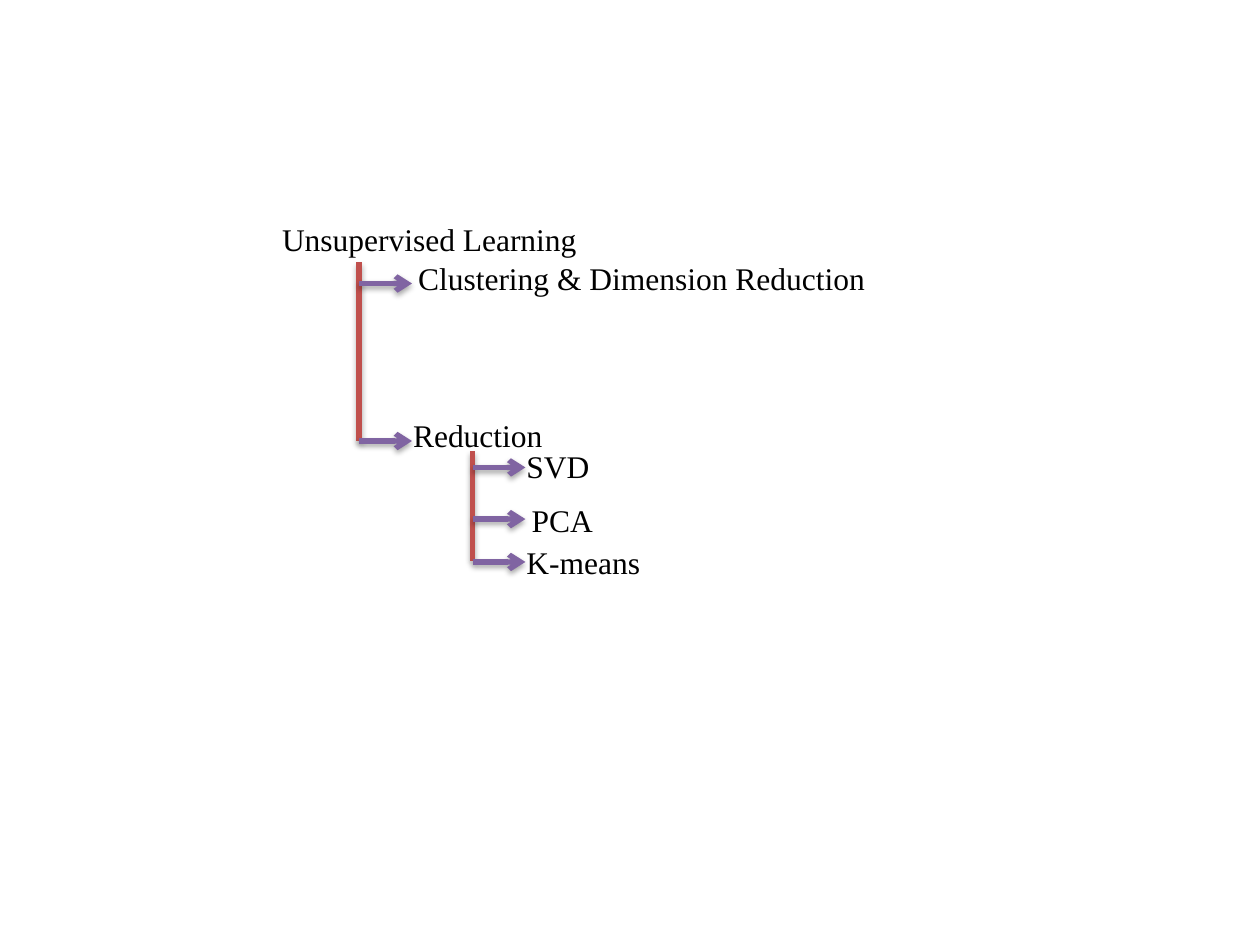
from typing import NamedTuple

from pptx import Presentation
from pptx.dml.color import RGBColor
from pptx.enum.shapes import MSO_CONNECTOR
from pptx.enum.text import MSO_AUTO_SIZE
from pptx.oxml import parse_xml
from pptx.oxml.ns import nsdecls
from pptx.util import Inches, Pt

STRAIGHT = MSO_CONNECTOR.STRAIGHT
FIT_SHAPE = MSO_AUTO_SIZE.SHAPE_TO_FIT_TEXT

TRUNK_RED = RGBColor(0xC0, 0x50, 0x4D)
BRANCH_PURPLE = RGBColor(0x80, 0x64, 0xA2)
BLACK = RGBColor(0, 0, 0)

FONT = "Times New Roman"
LABEL_HEIGHT = 0.4
BRANCH_LENGTH = 0.42

ARROWHEAD = f'<a:tailEnd {nsdecls("a")} type="arrow"/>'
SOFT_SHADOW = (
    f'<a:effectLst {nsdecls("a")}>'
    '<a:outerShdw blurRad="40000" dist="23000" dir="5400000" rotWithShape="0">'
    '<a:srgbClr val="000000"><a:alpha val="35000"/></a:srgbClr>'
    "</a:outerShdw></a:effectLst>"
)


class Label(NamedTuple):
    text: str
    left: float
    top: float
    width: float


class Trunk(NamedTuple):
    x: float
    top: float
    bottom: float
    branch_heights: tuple[float, ...]


LABELS = (
    Label("Unsupervised Learning", 2.14, 1.7, 3.46),
    Label("Clustering & Dimension Reduction", 3.22, 2.01, 4.03),
    Label("Reduction", 3.18, 3.25, 1.81),
    Label("SVD", 4.08, 3.5, 1.21),
    Label("PCA", 4.12, 3.93, 1.21),
    Label("K-means", 4.08, 4.26, 1.21),
)
TRUNKS = (
    Trunk(2.85, 2.08, 3.5, (2.25, 3.5)),
    Trunk(3.75, 3.58, 4.45, (3.71, 4.12, 4.46)),
)


def draw_line(slide, start: tuple[float, float], end: tuple[float, float],
              color: RGBColor, arrow: bool = False) -> None:
    connector = slide.shapes.add_connector(
        STRAIGHT, *(Inches(value) for value in (*start, *end)))
    connector.line.color.rgb = color
    connector.line.width = Pt(3)
    properties = connector._element.spPr
    if arrow:
        properties.ln.append(parse_xml(ARROWHEAD))
    properties.append(parse_xml(SOFT_SHADOW))


def draw_trunk(slide, trunk: Trunk) -> None:
    draw_line(slide, (trunk.x, trunk.top), (trunk.x, trunk.bottom), TRUNK_RED)
    for y in trunk.branch_heights:
        draw_line(slide, (trunk.x, y), (trunk.x + BRANCH_LENGTH, y),
                  BRANCH_PURPLE, arrow=True)


def draw_label(slide, label: Label) -> None:
    box = slide.shapes.add_textbox(
        Inches(label.left), Inches(label.top),
        Inches(label.width), Inches(LABEL_HEIGHT))
    frame = box.text_frame
    frame.word_wrap = True
    frame.auto_size = FIT_SHAPE
    frame.text = label.text
    font = frame.paragraphs[0].runs[0].font
    font.name = FONT
    font.size = Pt(18)
    font.color.rgb = BLACK


def main() -> None:
    presentation = Presentation()
    presentation.slide_width = Inches(10)
    presentation.slide_height = Inches(7.5)
    slide = presentation.slides.add_slide(presentation.slide_layouts[6])

    # Tree lines
    for trunk in TRUNKS:
        draw_trunk(slide, trunk)

    # Tree labels
    for label in LABELS:
        draw_label(slide, label)

    presentation.save("out.pptx")


if __name__ == "__main__":
    main()
